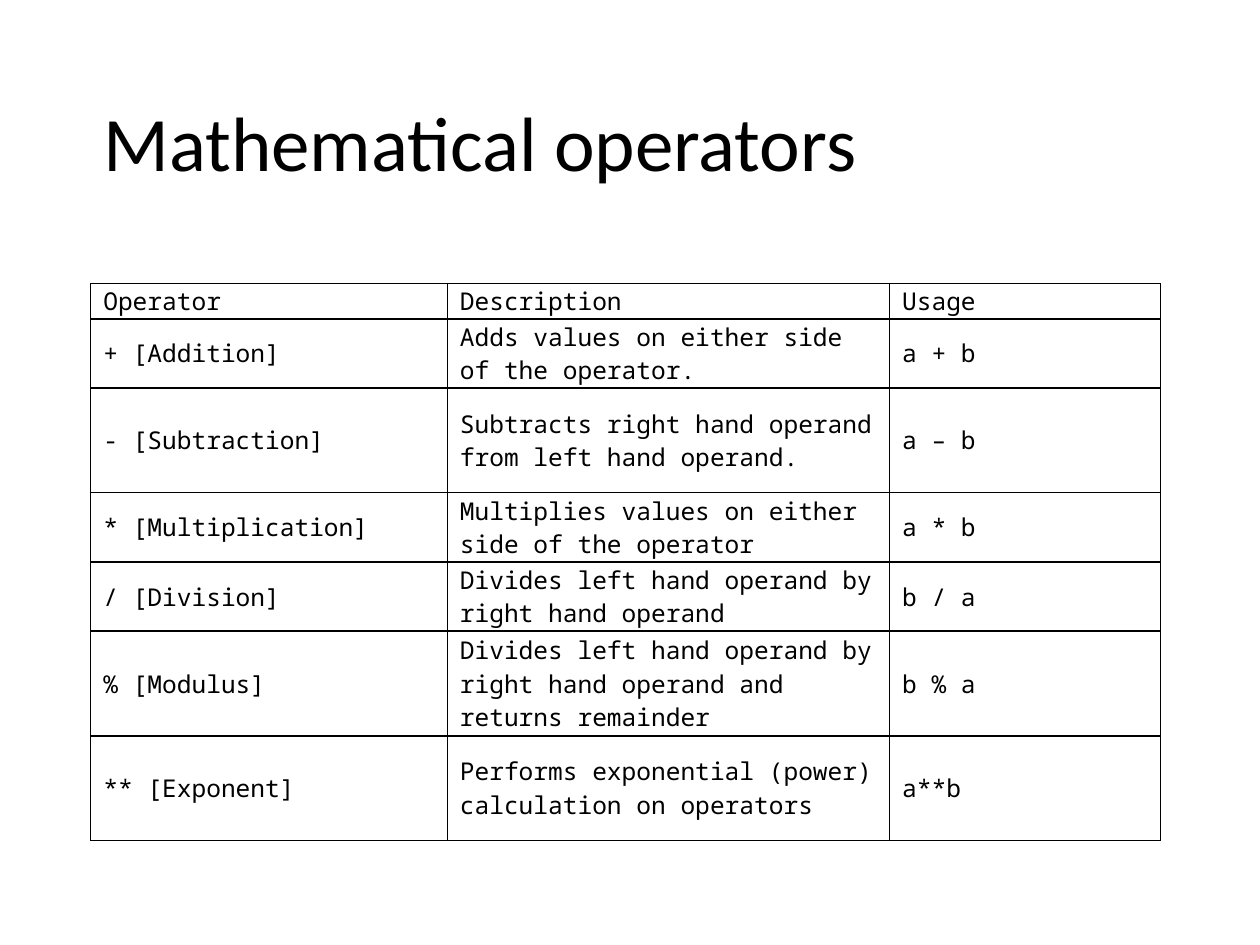
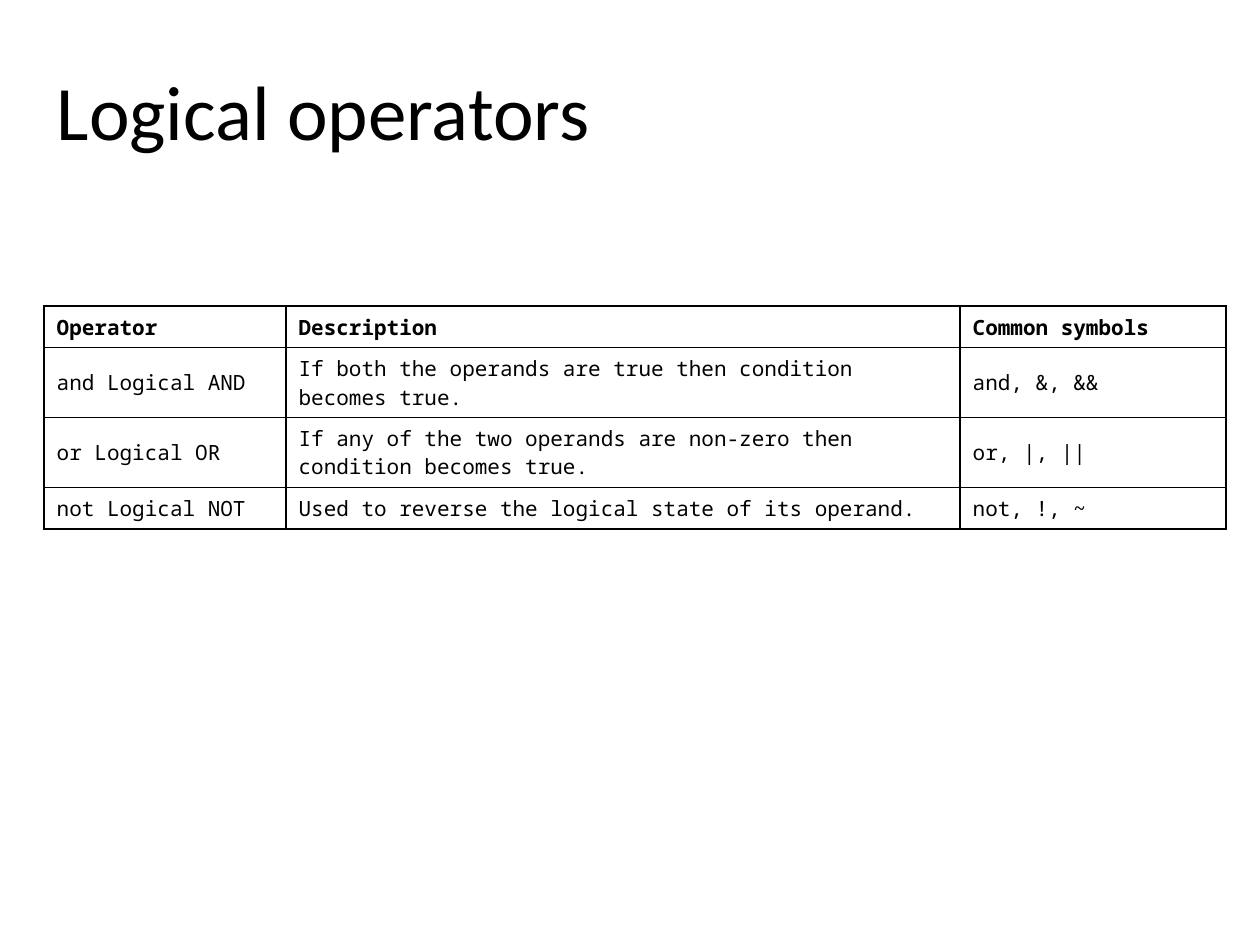
from dataclasses import dataclass

from lxml import etree
from pptx import Presentation
from pptx.dml.color import RGBColor
from pptx.enum.text import MSO_ANCHOR, PP_ALIGN
from pptx.oxml.ns import qn
from pptx.util import Inches, Pt

MIDDLE = MSO_ANCHOR.MIDDLE
LEFT = PP_ALIGN.LEFT
TITLE_ONLY = 5


@dataclass(frozen=True)
class Theme:
    ink: str = "000000"
    paper: str = "FFFFFF"
    head: str = "Calibri"
    mono: str = "Noto Sans Mono"
    title: int = 44
    rule: int = 1


THEME = Theme()

MATH = [
    ("Operator", "Description", "Usage"),
    ("+ [Addition]", "Adds values on either side of the operator.", "a + b"),
    ("- [Subtraction]",
     "Subtracts right hand operand from left hand operand.", "a – b"),
    ("* [Multiplication]",
     "Multiplies values on either side of the operator", "a * b"),
    ("/ [Division]",
     "Divides left hand operand by right hand operand", "b / a"),
    ("% [Modulus]",
     "Divides left hand operand by right hand operand and returns remainder",
     "b % a"),
    ("** [Exponent]",
     "Performs exponential (power) calculation on operators", "a**b"),
]

LOGIC = [
    ("Operator", "Description", "Common symbols"),
    ("and Logical AND",
     "If both the operands are true then condition becomes true.",
     "and, &, &&"),
    ("or Logical OR",
     "If any of the two operands are non-zero then condition becomes true.",
     "or, |, ||"),
    ("not Logical NOT",
     "Used to reverse the logical state of its operand.", "not, !, ~"),
]


def set_all(item, values):
    for name, value in values.items():
        setattr(item, name, value)


def style(font, face, size, bold=False):
    set_all(font, {"name": face, "size": Pt(size), "bold": bold})
    font.color.rgb = RGBColor.from_string(THEME.ink)


def add_title(slide, text, box):
    title = slide.shapes.title
    places = map(Inches, box)
    set_all(title, dict(zip(("left", "top", "width", "height"), places)))
    title.text_frame.text = text
    set_all(title.text_frame, {"vertical_anchor": MIDDLE, "word_wrap": True})
    para = title.text_frame.paragraphs[0]
    set_all(para, {"alignment": LEFT, "line_spacing": 0.9})
    style(para.runs[0].font, THEME.head, THEME.title)


def add_rules(cell):
    """Draw a thin line on all four sides of a cell."""
    props = cell._tc.get_or_add_tcPr()
    for side in ("lnL", "lnR", "lnT", "lnB"):
        line = etree.SubElement(props, qn(f"a:{side}"), w=str(Pt(THEME.rule)))
        fill = etree.SubElement(line, qn("a:solidFill"))
        etree.SubElement(fill, qn("a:srgbClr"), val=THEME.ink)


def fill_cell(cell, text, size, bold, pad):
    cell.text = text
    set_all(cell, {
        "vertical_anchor": MIDDLE,
        "margin_left": Inches(0.1), "margin_right": Inches(0.1),
        "margin_top": Inches(pad), "margin_bottom": Inches(pad),
    })
    add_rules(cell)
    cell.fill.solid()
    cell.fill.fore_color.rgb = RGBColor.from_string(THEME.paper)
    style(cell.text_frame.paragraphs[0].runs[0].font, THEME.mono, size, bold)


def add_grid(slide, data, spot, cols, rows, size, pad, bold_head=False):
    box = map(Inches, (*spot, sum(cols), sum(rows)))
    table = slide.shapes.add_table(len(rows), len(cols), *box).table
    set_all(table, {"first_row": bold_head, "horz_banding": False})
    for col, width in zip(table.columns, cols):
        col.width = Inches(width)
    for r, (row, height) in enumerate(zip(data, rows)):
        table.rows[r].height = Inches(height)
        for c, text in enumerate(row):
            bold = bold_head and r == 0
            fill_cell(table.cell(r, c), text, size, bold, pad)


def math_slide(slide):
    add_title(slide, "Mathematical operators", (0.72, 0.44, 8.62, 1.45))
    one, two, three = 0.28, 0.55, 0.83
    add_grid(slide, MATH, (0.72, 2.25), (2.83, 3.51, 2.15),
             (one, two, three, two, two, three, three), size=14, pad=0)


def logic_slide(slide):
    add_title(slide, "Logical operators", (0.35, 0.44, 8.62, 0.96))
    one, two = 0.33, 0.55
    add_grid(slide, LOGIC, (0.35, 2.43), (1.92, 5.35, 2.11),
             (one, two, two, one), size=12, pad=0.05, bold_head=True)


def main():
    deck = Presentation()
    set_all(deck, {"slide_width": Inches(10), "slide_height": Inches(7.5)})
    for build in (math_slide, logic_slide):
        build(deck.slides.add_slide(deck.slide_layouts[TITLE_ONLY]))
    deck.save("out.pptx")


if __name__ == "__main__":
    main()
